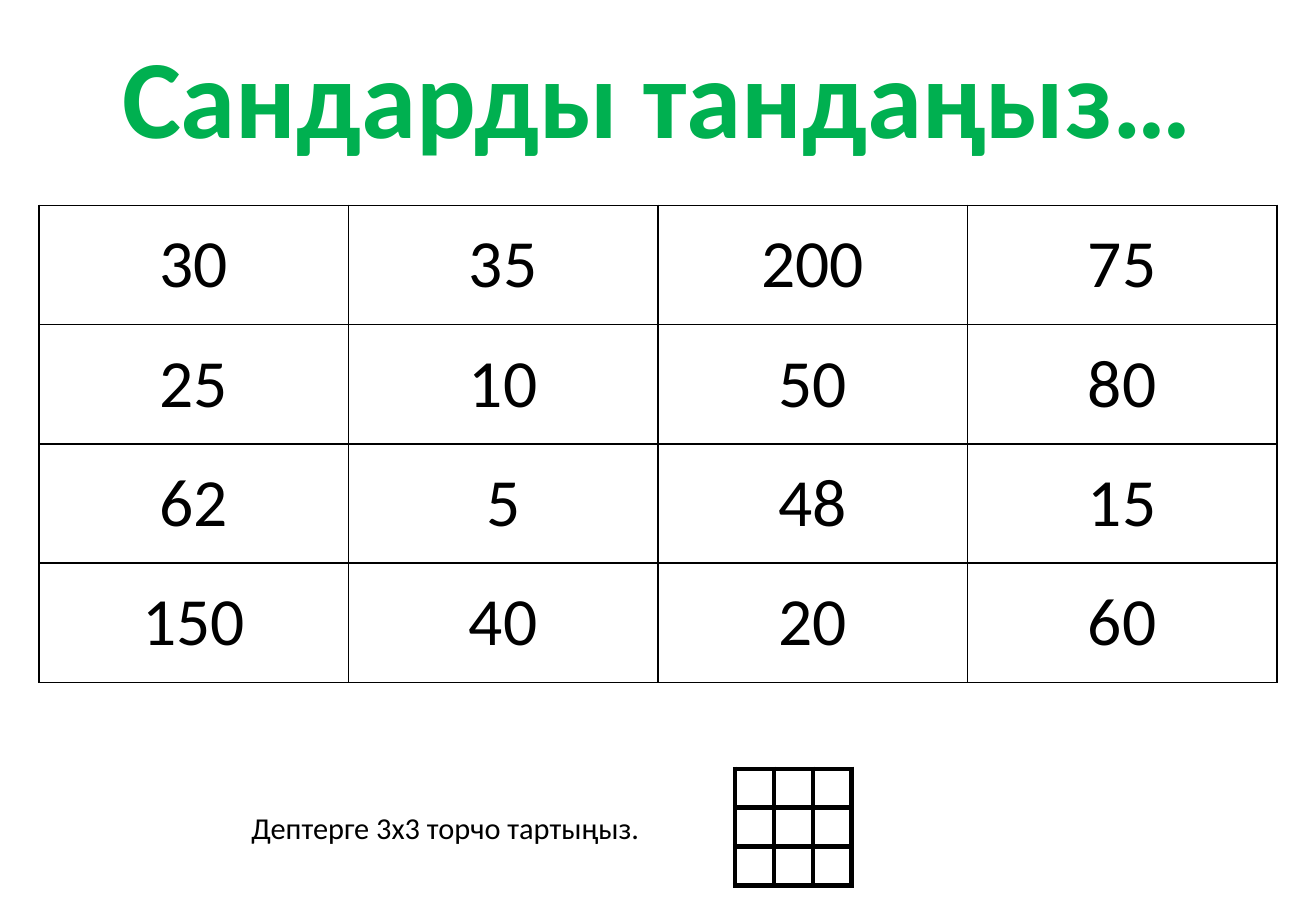
import pptx
import pptx.dml.color
import pptx.enum.text
import pptx.oxml.ns
import pptx.util
import lxml.etree

WIDTH = pptx.util.Inches(10.83)
HEIGHT = pptx.util.Inches(7.5)
FONT = "Calibri"
BLACK, WHITE, GREEN = "000000", "FFFFFF", "00B050"
CENTER = pptx.enum.text.PP_ALIGN.CENTER
NUMBERS = [
    [30, 35, 200, 75],
    [25, 10, 50, 80],
    [62, 5, 48, 15],
    [150, 40, 20, 60],
]


def share(left, top, width, height):
    return (int(WIDTH * left / 100), int(HEIGHT * top / 100),
            int(WIDTH * width / 100), int(HEIGHT * height / 100))


def color(target, hex_value):
    target.rgb = pptx.dml.color.RGBColor.from_string(hex_value)


def write(tf, text, size, hex_value, bold=False, align=None):
    tf.text = text
    p = tf.paragraphs[0]
    p.alignment = align
    for r in p.runs:
        r.font.name = FONT
        r.font.size = pptx.util.Pt(size)
        r.font.bold = bold
        color(r.font.color, hex_value)


def add_border(cell, points):
    qn = pptx.oxml.ns.qn
    tcPr = cell._tc.get_or_add_tcPr()
    for side in ("lnL", "lnR", "lnT", "lnB"):
        ln = lxml.etree.SubElement(tcPr, qn("a:" + side), w=str(pptx.util.Pt(points)))
        fill = lxml.etree.SubElement(ln, qn("a:solidFill"))
        lxml.etree.SubElement(fill, qn("a:srgbClr"), val=BLACK)


def add_grid(slide, box, values, border, size):
    rows, cols = len(values), len(values[0])
    table = slide.shapes.add_table(rows, cols, *box).table
    table.first_row = table.horz_banding = False
    for row, line in enumerate(values):
        for col, value in enumerate(line):
            cell = table.cell(row, col)
            cell.margin_left = cell.margin_right = 0
            cell.margin_top = cell.margin_bottom = 0
            cell.vertical_anchor = pptx.enum.text.MSO_ANCHOR.MIDDLE
            add_border(cell, border)
            cell.fill.solid()
            color(cell.fill.fore_color, WHITE)
            write(cell.text_frame, str(value), size, BLACK, align=CENTER)


def add_title(slide, box, text):
    sp = slide.shapes.title
    sp.left, sp.top, sp.width, sp.height = box
    tf = sp.text_frame
    tf.word_wrap = False
    tf.auto_size = pptx.enum.text.MSO_AUTO_SIZE.NONE
    tf.vertical_anchor = pptx.enum.text.MSO_ANCHOR.TOP
    write(tf, text, 66, GREEN, bold=True, align=CENTER)


def add_label(slide, box, text):
    tf = slide.shapes.add_textbox(*box).text_frame
    tf.word_wrap = False
    write(tf, text, 18, BLACK)


def main():
    prs = pptx.Presentation()
    prs.slide_width, prs.slide_height = WIDTH, HEIGHT
    slide = prs.slides.add_slide(prs.slide_layouts[5])
    add_title(slide, share(7.29, 2.27, 85.32, 16.13), "Сандарды тандаңыз…")
    add_grid(slide, share(2.95, 22.53, 94.09, 52.4), NUMBERS, border=1, size=40)
    add_grid(slide, share(55.86, 84.4, 8.86, 12.8), [[""] * 3] * 3, border=3, size=18)
    add_label(slide, share(18.19, 88.13, 31.58, 5.33), "Дептерге 3х3 торчо тартыңыз.")
    prs.save("out.pptx")


if __name__ == "__main__":
    main()
